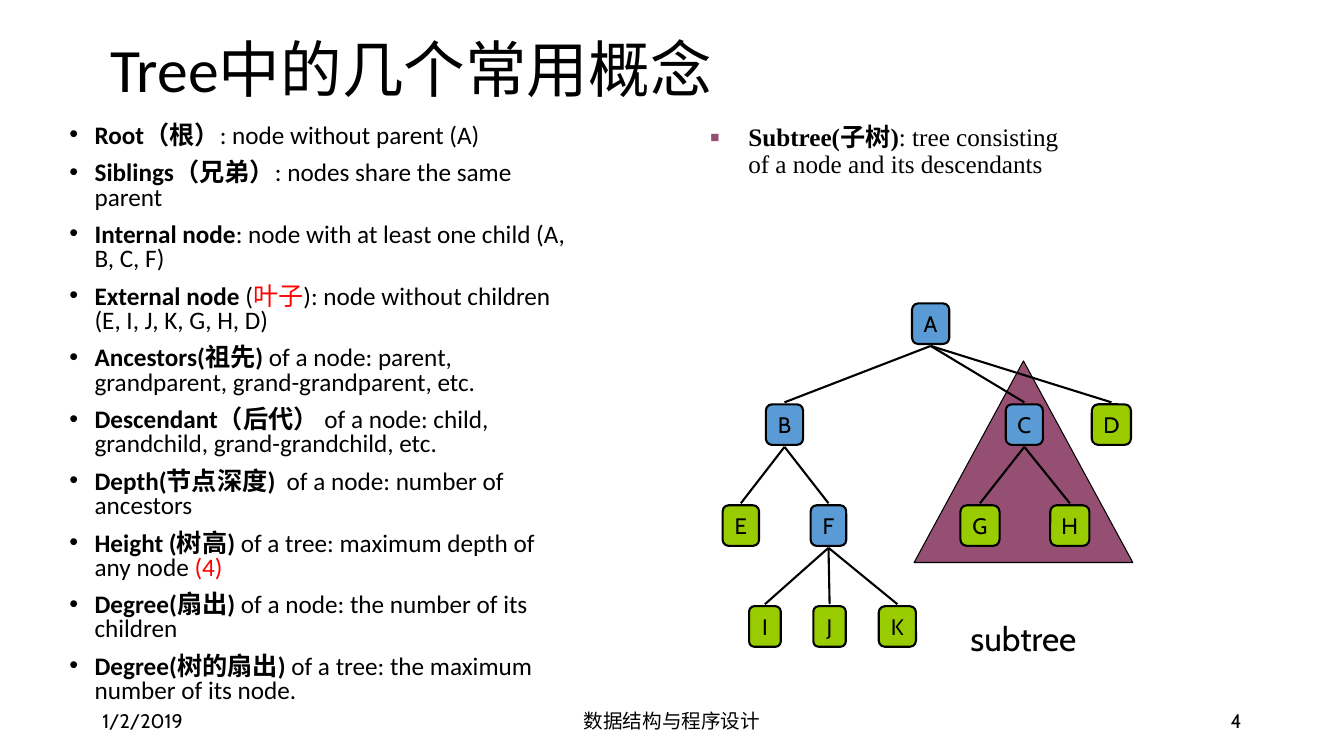
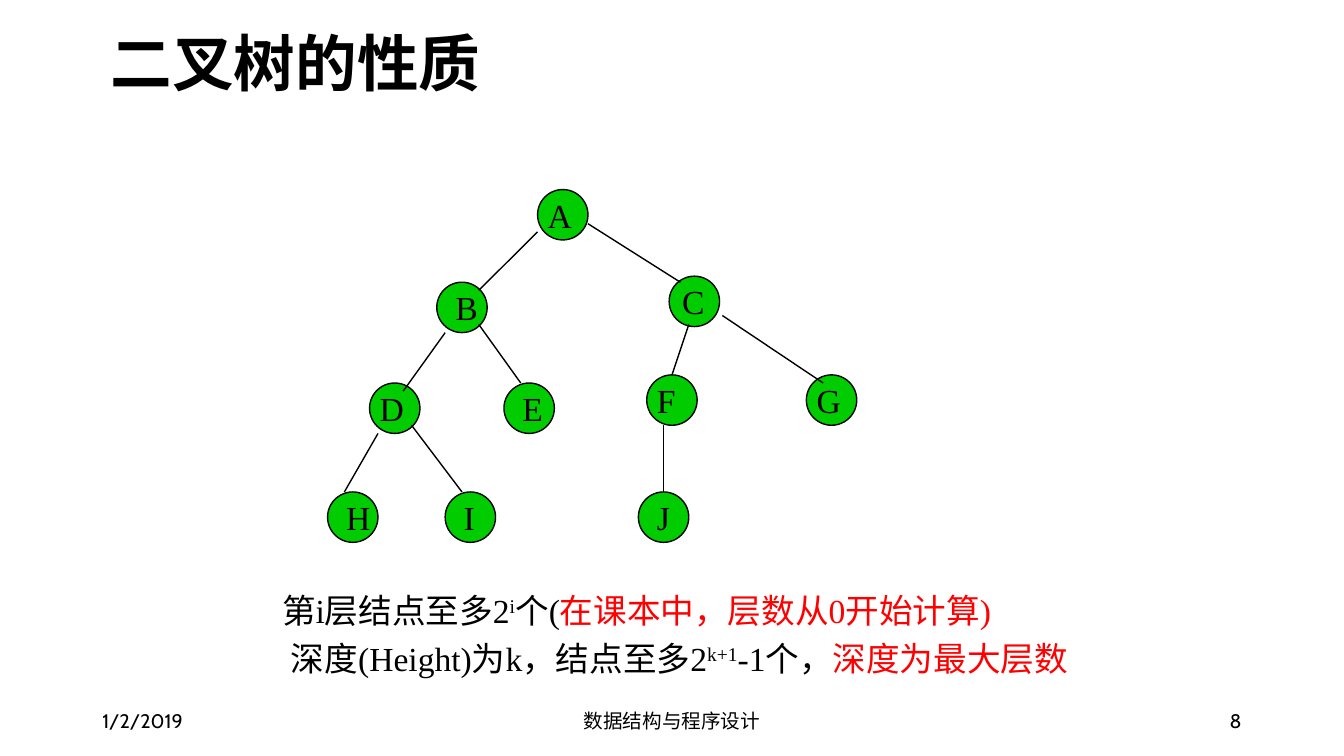
"""Builds two slides on tree terminology and binary tree properties."""
from lxml import etree
from pptx import Presentation
from pptx.dml.color import RGBColor
from pptx.enum.shapes import MSO_CONNECTOR, MSO_SHAPE
from pptx.enum.text import MSO_ANCHOR, PP_ALIGN
from pptx.oxml.ns import qn
from pptx.util import Pt

STRAIGHT = MSO_CONNECTOR.STRAIGHT
TRIANGLE, ROUNDED, OVAL = MSO_SHAPE.ISOSCELES_TRIANGLE, MSO_SHAPE.ROUNDED_RECTANGLE, MSO_SHAPE.OVAL
TOP, MIDDLE = MSO_ANCHOR.TOP, MSO_ANCHOR.MIDDLE
LEFT, CENTER, RIGHT = PP_ALIGN.LEFT, PP_ALIGN.CENTER, PP_ALIGN.RIGHT

BLACK = RGBColor(0x00, 0x00, 0x00)
RED = RGBColor(0xFF, 0x00, 0x00)
PLUM = RGBColor(0x95, 0x4F, 0x72)
BLUE = RGBColor(0x5B, 0x9B, 0xD5)
LIME = RGBColor(0x99, 0xCC, 0x00)
GREEN = RGBColor(0x00, 0xCC, 0x00)
HEADING_FONT, LABEL_FONT, SERIF_FONT = "Calibri", "Cabin", "Times New Roman"

PLAIN, BOLD, ACCENT, RAISED = "plain", "bold", "accent", "raised"

DATE, COURSE = "1/2/2019", "数据结构与程序设计"

CONCEPTS_TITLE = ("Tree中的几个常用概念", PLAIN)
CONCEPTS = [
    [("Root（根）", BOLD), (": node without parent (A)", PLAIN)],
    [("Siblings（兄弟）", BOLD), (": nodes share the same parent", PLAIN)],
    [("Internal node", BOLD), (": node with at least one child (A, B, C, F)", PLAIN)],
    [("External node", BOLD), (" (", PLAIN), ("叶子", ACCENT),
     ("): node without children (E, I, J, K, G, H, D)", PLAIN)],
    [("Ancestors(祖先)", BOLD),
     (" of a node: parent, grandparent, grand-grandparent, etc.", PLAIN)],
    [("Descendant（后代）", BOLD),
     (" of a node: child, grandchild, grand-grandchild, etc.", PLAIN)],
    [("Depth(节点深度) ", BOLD), (" of a node: number of ancestors", PLAIN)],
    [("Height (树高)", BOLD), (" of a tree: maximum depth of any node", PLAIN),
     (" (4)", ACCENT)],
    [("Degree(扇出)", BOLD), (" of a node: the number of its children", PLAIN)],
    [("Degree(树的扇出)", BOLD), (" of a tree: the maximum number of its node.", PLAIN)],
]
SUBTREE_CONCEPT = [("Subtree(子树)", BOLD),
                   (": tree consisting of a node and its descendants", PLAIN)]

CHILDREN = {"A": "BCD", "B": "EF", "C": "GH", "F": "IJK"}
TREE_NODES = {
    "A": (664.8, 0, 26.6), "B": (560.4, 1, 26.6), "C": (731.7, 1, 26.6),
    "D": (793.9, 1, 28), "E": (529.2, 2, 26), "F": (591.8, 2, 25.4),
    "G": (700, 2, 28), "H": (764.2, 2, 28), "I": (546.4, 3, 22.6),
    "J": (592.6, 3, 23.2), "K": (641, 3, 26.6),
}
TREE_TOP, LEVEL_STEP, NODE_HEIGHT, EDGE_GAP = 216.7, 72.1, 29, 1.4

PROPERTIES_TITLE = ("二叉树的性质", BOLD)
BINARY_NODES = {
    "A": (384, 135.4, 0), "B": (312, 201.6, 6), "C": (478, 197.3, 2),
    "D": (264, 273.6, 0), "E": (360, 273.6, 6), "F": (462, 267.8, 0),
    "G": (576, 267.8, 0), "H": (234, 351.4, 6), "I": (318, 351.4, 6),
    "J": (456, 351.4, 6),
}
BINARY_EDGES = [
    (384, 165.6, 342, 207.4), (420, 159.8, 486, 201.6), (318, 237.6, 288, 279.4),
    (342, 231.8, 372, 273.6), (492, 231.8, 480, 267.8), (516, 225.4, 588, 273.6),
    (270, 309.6, 246, 351.4), (294, 303.8, 330, 351.4), (474, 303.8, 474, 351.4),
]
CIRCLE = 36
PROPERTIES = [
    ((194.4, 417.6, 596, 36.7), 0,
     [("第i层结点至多2", PLAIN), ("i", RAISED), ("个(", PLAIN),
      ("在课本中，层数从0开始计算)", ACCENT)]),
    ((177.8, 452.2, 604, 36), 23,
     [("深度(Height)为k，结点至多2", PLAIN), ("k+1", RAISED), ("-1个，", PLAIN),
      ("深度为最大层数", ACCENT)]),
]


def add_runs(paragraph, pieces, size, font):
    for text, style in pieces:
        run = paragraph.add_run()
        run.text = text
        run.font.size = Pt(size)
        run.font.name = font
        run.font.bold = style == BOLD
        run.font.color.rgb = RED if style == ACCENT else BLACK
        if style == RAISED:
            run.font._element.set("baseline", "30000")


def add_text(slide, box, paragraphs, size, font, anchor=TOP, align=LEFT):
    frame = slide.shapes.add_textbox(*map(Pt, box)).text_frame
    frame.word_wrap = True
    frame.vertical_anchor = anchor
    for index, pieces in enumerate(paragraphs):
        paragraph = frame.add_paragraph() if index else frame.paragraphs[0]
        paragraph.alignment = align
        add_runs(paragraph, pieces, size, font)
    return frame


def indent(paragraph, margin, first_line):
    properties = paragraph._p.get_or_add_pPr()
    properties.set("marL", str(Pt(margin)))
    properties.set("indent", str(Pt(first_line)))
    return properties


def add_bullet(paragraph, hang, mark, color=BLACK, percent=100):
    properties = indent(paragraph, hang, -hang)
    bullet_color = etree.SubElement(properties, qn("a:buClr"))
    etree.SubElement(bullet_color, qn("a:srgbClr"), val=str(color))
    etree.SubElement(properties, qn("a:buSzPct"), val=str(percent * 1000))
    etree.SubElement(properties, qn("a:buFont"), typeface="Arial")
    etree.SubElement(properties, qn("a:buChar"), char=mark)


def add_outlined(slide, preset, box, fill, width):
    shape = slide.shapes.add_shape(preset, *map(Pt, box))
    shape.shadow.inherit = False
    shape.fill.solid()
    shape.fill.fore_color.rgb = fill
    shape.line.color.rgb = BLACK
    shape.line.width = Pt(width)
    return shape


def label_node(shape, letter, size, font, align, left_inset=0):
    frame = shape.text_frame
    frame.margin_left = Pt(left_inset)
    frame.margin_right = frame.margin_top = frame.margin_bottom = 0
    frame.vertical_anchor = MIDDLE
    frame.paragraphs[0].alignment = align
    add_runs(frame.paragraphs[0], [(letter, PLAIN)], size, font)


def add_edge(slide, ends, width):
    edge = slide.shapes.add_connector(STRAIGHT, *map(Pt, ends))
    edge.line.color.rgb = BLACK
    edge.line.width = Pt(width)
    etree.SubElement(edge._element.spPr, qn("a:effectLst"))


def add_base_slide(deck, title, title_top, number):
    slide = deck.slides.add_slide(deck.slide_layouts[6])
    heading = add_text(slide, (72, title_top, 828, 104.4), [[title]], 44, HEADING_FONT, MIDDLE)
    heading.paragraphs[0].line_spacing = 0.9
    for left, width, text, align in ((66, 216, DATE, LEFT), (318, 324, COURSE, CENTER),
                                     (678, 216, str(number), RIGHT)):
        add_text(slide, (left, 500.4, width, 28.8), [[(text, PLAIN)]], 14, LABEL_FONT,
                 MIDDLE, align)
    return slide


def add_concepts_slide(deck):
    slide = add_base_slide(deck, CONCEPTS_TITLE, -0.7, 4)
    concepts = add_text(slide, (42.5, 85.7, 368.6, 372), CONCEPTS, 18, HEADING_FONT)
    for paragraph in concepts.paragraphs:
        paragraph.line_spacing = 0.8
        paragraph.space_before = Pt(9.5)
        add_bullet(paragraph, 18, "•")
    subtree = add_text(slide, (500.4, 85.7, 275.8, 77.8), [SUBTREE_CONCEPT], 18, SERIF_FONT)
    subtree.paragraphs[0].line_spacing = 0.9
    add_bullet(subtree.paragraphs[0], 27, "■", PLUM, 60)

    add_outlined(slide, TRIANGLE, (653, 257.8, 156.2, 144), PLUM, 0.75)
    add_text(slide, (653, 436, 156.2, 40), [[("subtree", PLAIN)]], 24, LABEL_FONT,
             MIDDLE, CENTER)
    for letter, (center, level, width) in TREE_NODES.items():
        top = TREE_TOP + level * LEVEL_STEP
        fill = BLUE if letter in CHILDREN else LIME
        node = add_outlined(slide, ROUNDED, (center - width / 2, top, width, NODE_HEIGHT),
                            fill, 1.5)
        label_node(node, letter, 16, LABEL_FONT, CENTER)
        for child in CHILDREN.get(letter, ""):
            add_edge(slide, (center, top + NODE_HEIGHT + EDGE_GAP,
                             TREE_NODES[child][0], top + LEVEL_STEP - EDGE_GAP), 1.5)


def add_properties_slide(deck):
    slide = add_base_slide(deck, PROPERTIES_TITLE, -5, 8)
    for box, first_line, pieces in PROPERTIES:
        statement = add_text(slide, box, [pieces], 24, SERIF_FONT)
        indent(statement.paragraphs[0], 0, first_line)
    for letter, (left, top, shift) in BINARY_NODES.items():
        node = add_outlined(slide, OVAL, (left, top, CIRCLE, CIRCLE), GREEN, 1)
        label_node(node, letter, 24, SERIF_FONT, LEFT, 2 + shift)
    for ends in BINARY_EDGES:
        add_edge(slide, ends, 1)


def main():
    deck = Presentation()
    deck.slide_width, deck.slide_height = Pt(960), Pt(540)
    add_concepts_slide(deck)
    add_properties_slide(deck)
    deck.save("out.pptx")


if __name__ == "__main__":
    main()
